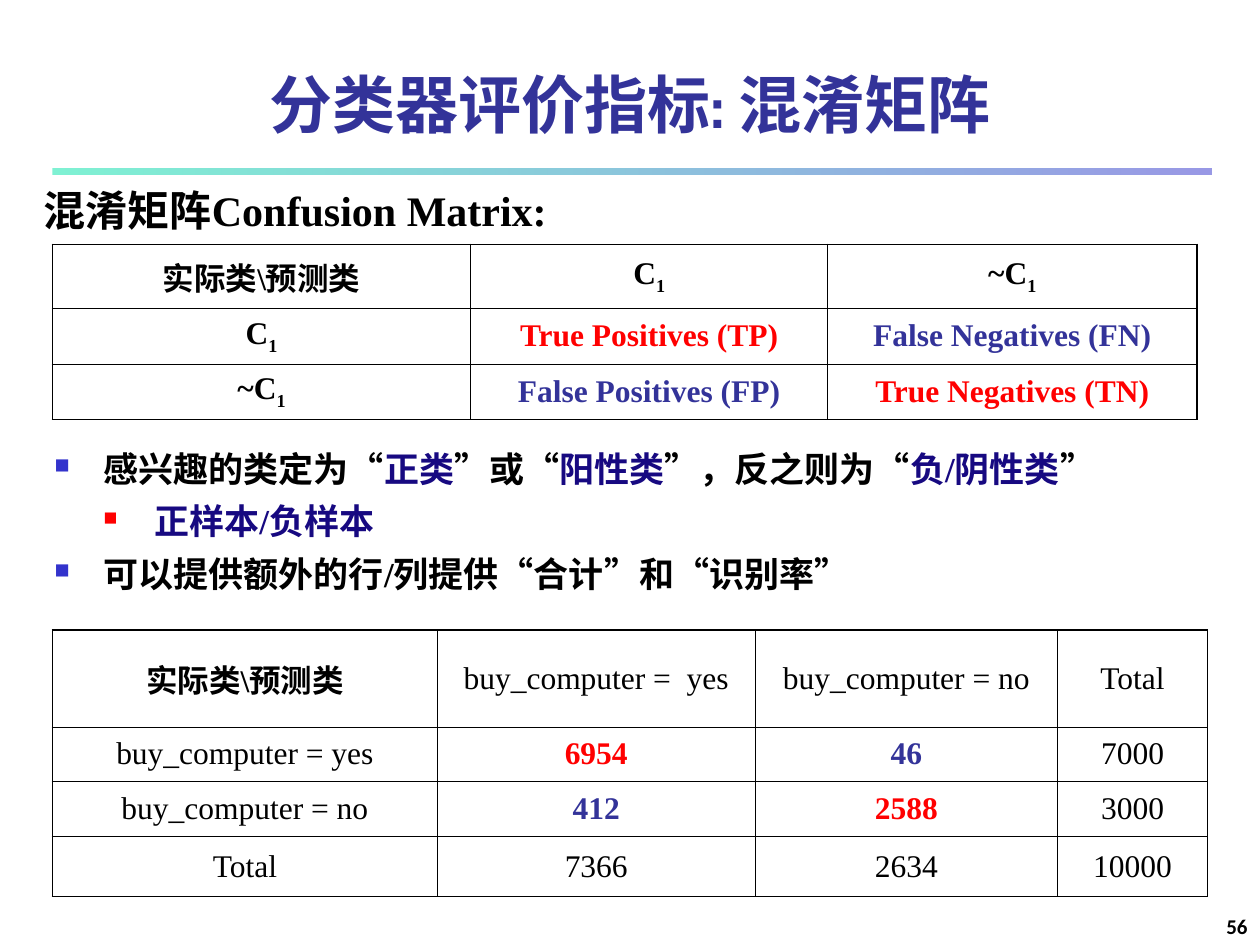
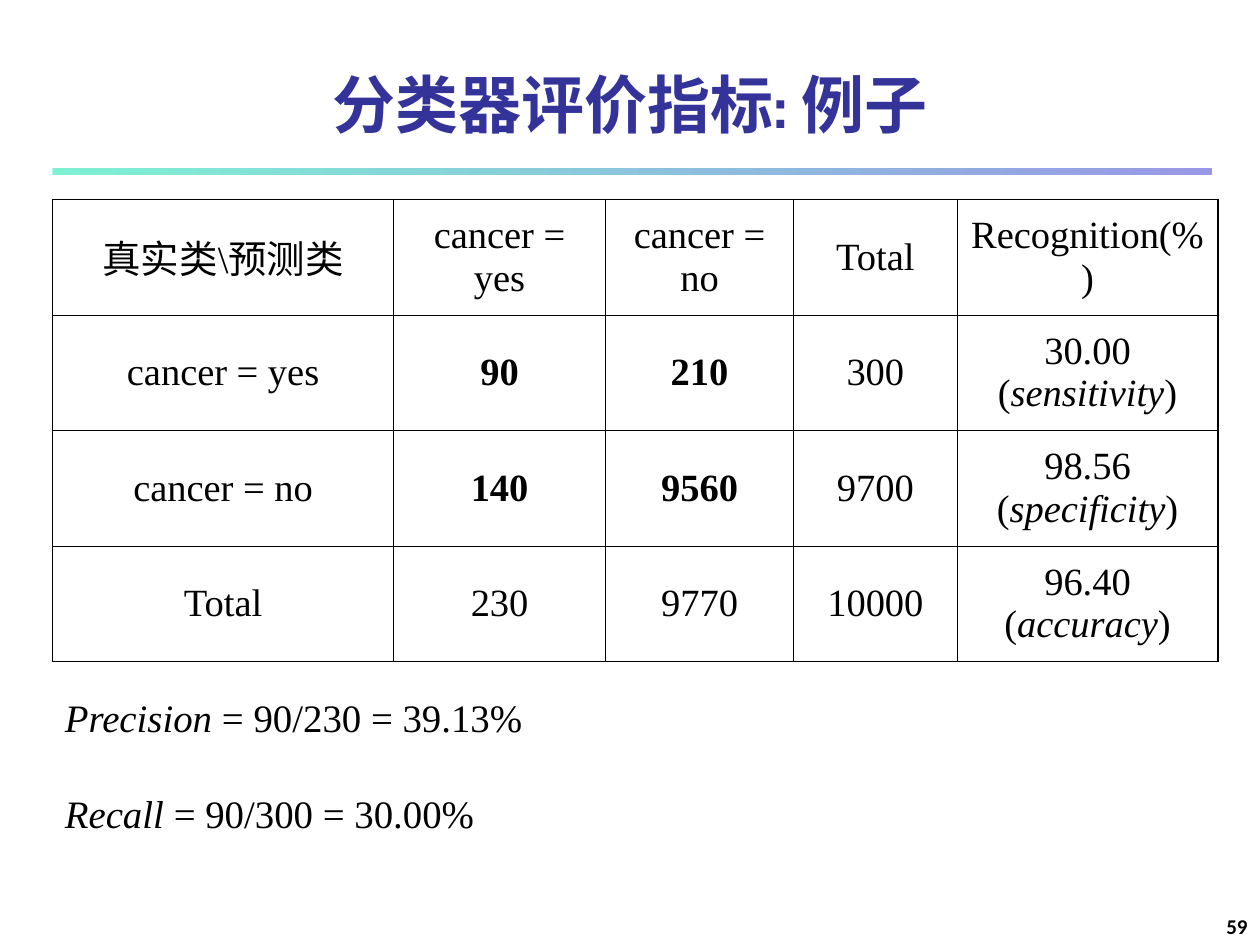
from lxml.etree import SubElement
from pptx import Presentation
from pptx.dml.color import RGBColor
from pptx.enum.shapes import MSO_SHAPE
from pptx.enum.text import MSO_ANCHOR, PP_ALIGN
from pptx.oxml import parse_xml
from pptx.oxml.ns import nsdecls, qn
from pptx.util import Pt

# Shared style
BLACK = RGBColor(0x00, 0x00, 0x00)
NAVY = RGBColor(0x33, 0x33, 0x99)
INDIGO = RGBColor(0x17, 0x09, 0x81)
BLUE = RGBColor(0x33, 0x33, 0xCC)
MINT = RGBColor(0x00, 0xE4, 0xA8)
RED = RGBColor(0xFF, 0x00, 0x00)

TITLE_FONT, BODY_FONT, NUMBER_FONT = "Cabin", "Times New Roman", "Calibri"
OUTER_LINE, INNER_LINE = 1.08, 0.45
LEFT = 30

# Span formats
BOLD = dict(bold=True)
PLAIN = dict(bold=False)
ITALIC = dict(italic=True)
CORRECT = dict(color=RED, bold=True)
WRONG = dict(color=NAVY, bold=True)
TERM = dict(color=INDIGO)
SUBSCRIPT = dict(baseline=-25)


def add_span(para, text, font=BODY_FONT, size=18, color=BLACK, bold=False,
             italic=False, baseline=0):
    span = para.add_run()
    span.text = text
    span.font.name = font
    span.font.size = Pt(size)
    span.font.color.rgb = color
    span.font.bold = bold
    span.font.italic = italic
    if baseline:
        span._r.get_or_add_rPr().set("baseline", str(baseline * 1000))


def fill_para(para, content, **style):
    """Content is a string or a list of (text, format) pairs."""
    spans = [(content, {})] if isinstance(content, str) else content
    for text, changes in spans:
        add_span(para, text, **{**style, **changes})


def add_bullet(para, color, percent, left, hanging):
    properties = para._p.get_or_add_pPr()
    properties.set("marL", str(Pt(left)))
    properties.set("indent", str(-Pt(hanging)))
    bullet_color = SubElement(properties, qn("a:buClr"))
    SubElement(bullet_color, qn("a:srgbClr"), val=str(color))
    SubElement(properties, qn("a:buSzPct"), val=str(percent * 1000))
    SubElement(properties, qn("a:buChar"), char="■")


def set_borders(cell, widths):
    properties = cell._tc.get_or_add_tcPr()
    for index, (side, width) in enumerate(zip("LRTB", widths)):
        properties.insert(index, parse_xml(
            f'<a:ln{side} {nsdecls("a")} w="{Pt(width)}"><a:solidFill>'
            f'<a:srgbClr val="{BLACK}"/></a:solidFill></a:ln{side}>'))


class SlideBuilder:
    def __init__(self, deck):
        self.deck = deck
        self.page = None

    def start(self, title, number):
        self.page = self.deck.slides.add_slide(self.deck.slide_layouts[6])
        self.band()
        self.text(0, 24, 720, 60, [title], align=PP_ALIGN.CENTER,
                  anchor=MSO_ANCHOR.BOTTOM, font=TITLE_FONT, size=36,
                  color=NAVY, bold=True)
        self.text(570, 510, 150, 30, [number], align=PP_ALIGN.RIGHT,
                  anchor=MSO_ANCHOR.BOTTOM, font=NUMBER_FONT, size=12, bold=True)

    def band(self):
        band = self.page.shapes.add_shape(
            MSO_SHAPE.RECTANGLE, Pt(LEFT), Pt(96), Pt(662.4), Pt(4))
        band.shadow.inherit = False
        band.line.fill.background()
        band.fill.gradient()
        band.fill.gradient_angle = 0
        for stop, position, color in zip(band.fill.gradient_stops, (0, 1), (MINT, BLUE)):
            stop.position = position
            stop.color.rgb = color
        for color in band._element.spPr.iter(qn("a:srgbClr")):
            SubElement(color, qn("a:alpha"), val="50000")

    def text(self, left, top, width, height, contents, align=PP_ALIGN.LEFT,
             anchor=MSO_ANCHOR.TOP, gap=0, line_spacing=None, bullets=None, **style):
        box = self.page.shapes.add_textbox(Pt(left), Pt(top), Pt(width), Pt(height))
        frame = box.text_frame
        frame.word_wrap = True
        frame.vertical_anchor = anchor
        for index, content in enumerate(contents):
            para = frame.add_paragraph() if index else frame.paragraphs[0]
            if bullets:
                add_bullet(para, **bullets[index])
            para.alignment = align
            if index:
                para.space_before = Pt(gap)
            if line_spacing:
                para.line_spacing = line_spacing
            fill_para(para, content, **style)

    def table(self, top, widths, heights, rows, **style):
        table = self.page.shapes.add_table(
            len(heights), len(widths), Pt(LEFT), Pt(top),
            Pt(sum(widths)), Pt(sum(heights))).table
        table.first_row = table.horz_banding = False
        for column, width in zip(table.columns, widths):
            column.width = Pt(width)
        for row, height in zip(table.rows, heights):
            row.height = Pt(height)
        last_row, last_column = len(heights) - 1, len(widths) - 1
        for r, row in enumerate(rows):
            for c, content in enumerate(row):
                cell = table.cell(r, c)
                cell.fill.background()
                cell.vertical_anchor = MSO_ANCHOR.MIDDLE
                on_edge = (c == 0, c == last_column, r == 0, r == last_row)
                set_borders(cell, [OUTER_LINE if edge else INNER_LINE for edge in on_edge])
                para = cell.text_frame.paragraphs[0]
                para.alignment = PP_ALIGN.CENTER
                fill_para(para, content, **style)


def build_confusion_matrix(builder):
    builder.start("分类器评价指标: 混淆矩阵", "56")
    builder.text(18, 102, 324, 36, ["混淆矩阵Confusion Matrix:"], size=24, bold=True)

    # Definition of the four outcomes
    positive = [("C", {}), ("1", SUBSCRIPT)]
    negative = [("~C", {}), ("1", SUBSCRIPT)]
    builder.table(139.7, [239, 204, 211], [36.5, 31.7, 31.7], [
        ["实际类\\预测类", positive, negative],
        [positive, [("True Positives (TP)", CORRECT)], [("False Negatives (FN)", WRONG)]],
        [negative, [("False Positives (FP)", WRONG)], [("True Negatives (TN)", CORRECT)]],
    ], bold=True)

    # Explanations
    main = dict(color=BLUE, percent=60, left=28, hanging=28)
    detail = dict(color=RED, percent=55, left=57, hanging=29)
    builder.text(24, 252, 660, 129, [
        [("感兴趣的类定为“", {}), ("正类", TERM), ("”或“", {}), ("阳性类", TERM),
         ("”，反之则为“", {}), ("负/阴性类", TERM), ("”", {})],
        [("正样本/负样本", TERM)],
        "可以提供额外的行/列提供“合计”和“识别率”",
    ], gap=6, bullets=[main, detail, main], size=20, bold=True)

    # Worked counts
    builder.table(360, [220, 181.5, 173, 85.5], [55.4, 31.2, 31.2, 34.6], [
        [[("实际类\\预测类", BOLD)], "buy_computer =  yes", "buy_computer = no", "Total"],
        ["buy_computer = yes", [("6954", CORRECT)], [("46", WRONG)], "7000"],
        ["buy_computer = no", [("412", WRONG)], [("2588", CORRECT)], "3000"],
        ["Total", "7366", "2634", "10000"],
    ])


def build_example(builder):
    builder.start("分类器评价指标: 例子", "59")

    # Counts and recognition rates
    def rate(value, measure):
        return [(f"{value} (", PLAIN), (measure, ITALIC), (")", PLAIN)]

    builder.table(114, [195, 121, 107.5, 93.5, 149], [66] * 4, [
        ["真实类\\预测类", "cancer = yes", "cancer = no", "Total", "Recognition(%)"],
        ["cancer = yes", [("90", BOLD)], [("210", BOLD)], "300", rate("30.00", "sensitivity")],
        ["cancer = no", [("140", BOLD)], [("9560", BOLD)], "9700", rate("98.56", "specificity")],
        ["Total", "230", "9770", "10000", rate("96.40", "accuracy")],
    ], size=22)

    # Precision and recall
    builder.text(LEFT, 396, 342, 78, [
        [("Precision", ITALIC), (" = 90/230 = 39.13%", {})],
        [("Recall", ITALIC), (" = 90/300 = 30.00%", {})],
    ], gap=31, line_spacing=0.9, size=22.2)


def main():
    deck = Presentation()
    deck.slide_width, deck.slide_height = Pt(720), Pt(540)
    builder = SlideBuilder(deck)
    build_confusion_matrix(builder)
    build_example(builder)
    deck.save("out.pptx")


if __name__ == "__main__":
    main()
